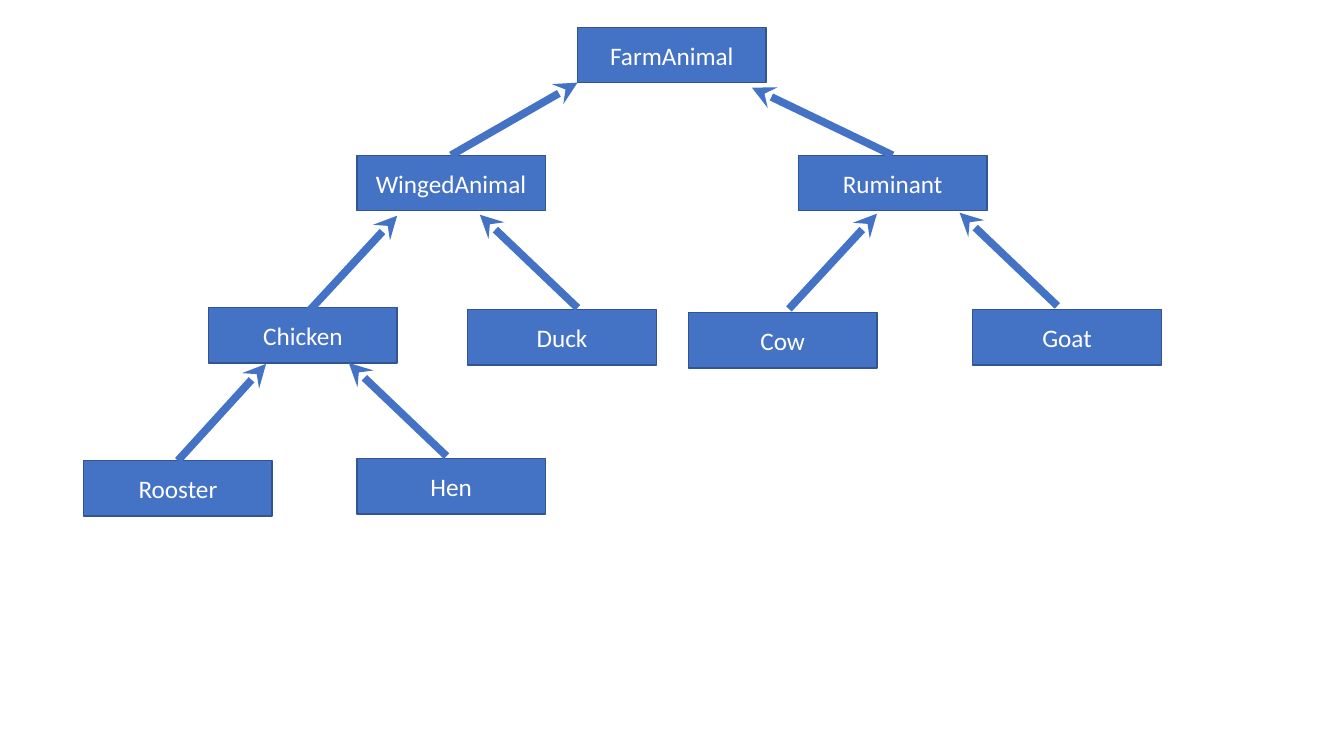
from lxml.etree import SubElement
from pptx import Presentation
from pptx.dml.color import RGBColor
from pptx.enum.shapes import MSO_CONNECTOR as Connector, MSO_SHAPE as Shape
from pptx.enum.text import MSO_ANCHOR as Anchor, PP_ALIGN as Align
from pptx.oxml.ns import qn
from pptx.util import Inches, Pt

COLORS = {"box": "4472C4", "edge": "325491", "text": "FFFFFF"}
COLUMNS, ROWS = 40, 30
BOX_WIDTH, BOX_HEIGHT = 5.61, 2.2
LEAN_RIGHT, LEAN_LEFT = (2.62, 3.78), (2.91, 3.7)
TOP = 0

ANIMALS = {
    "FarmAnimal": (17.19, 1.08),
    "WingedAnimal": (10.62, 6.16),
    "Ruminant": (23.76, 6.16),
    "Cow": (20.49, 12.4),
    "Goat": (28.95, 12.28),
    "Chicken": (6.21, 12.2),
    "Duck": (13.92, 12.28),
    "Rooster": (2.49, 18.28),
    "Hen": (10.62, 18.2),
}
JOINED_ARROWS = {
    "WingedAnimal": (17.19, 3.28),
    "Ruminant": (22.38, 3.48),
    "Rooster": (7.92, 14.44),
}
RIGHT_TIPS = [(11.82, 8.56), (26.1, 8.48)]
LEFT_TIPS = [(14.28, 8.52), (28.56, 8.44), (10.38, 14.4)]


class ClassTree:
    """Draws class boxes and inheritance arrows on a grid over one slide."""

    def __init__(self, deck):
        self.page = deck.slides.add_slide(deck.slide_layouts[6])
        self.column = deck.slide_width / COLUMNS
        self.row = deck.slide_height / ROWS

    def place(self, x, y):
        return round(x * self.column), round(y * self.row)

    def color(self, name):
        return RGBColor.from_string(COLORS[name])

    def box(self, name, corner):
        box = self.page.shapes.add_shape(
            Shape.RECTANGLE, *self.place(*corner), *self.place(BOX_WIDTH, BOX_HEIGHT))
        box.shadow.inherit = False
        box.fill.solid()
        box.fill.fore_color.rgb = self.color("box")
        box.line.color.rgb = self.color("edge")
        box.line.width = Pt(1)
        frame = box.text_frame
        frame.text = name
        frame.vertical_anchor = Anchor.MIDDLE
        para = frame.paragraphs[0]
        para.alignment = Align.CENTER
        para.font.name = "Calibri"
        para.font.size = Pt(18)
        para.font.color.rgb = self.color("text")
        return box

    def arrow(self, start, tip):
        arrow = self.page.shapes.add_connector(
            Connector.STRAIGHT, *self.place(*start), *self.place(*tip))
        arrow.line.color.rgb = self.color("box")
        arrow.line.width = Pt(5.5)
        SubElement(arrow.line._get_or_add_ln(), qn("a:tailEnd"), type="stealth")
        SubElement(arrow._element.spPr, qn("a:effectLst"))
        return arrow


def main():
    deck = Presentation()
    deck.slide_width, deck.slide_height = Inches(13.33), Inches(7.5)
    tree = ClassTree(deck)
    boxes = {name: tree.box(name, corner) for name, corner in ANIMALS.items()}
    for child, tip in JOINED_ARROWS.items():
        tree.arrow(ANIMALS[child], tip).begin_connect(boxes[child], TOP)
    for x, y in RIGHT_TIPS:
        tree.arrow((x - LEAN_RIGHT[0], y + LEAN_RIGHT[1]), (x, y))
    for x, y in LEFT_TIPS:
        tree.arrow((x + LEAN_LEFT[0], y + LEAN_LEFT[1]), (x, y))
    deck.save("out.pptx")


if __name__ == "__main__":
    main()
